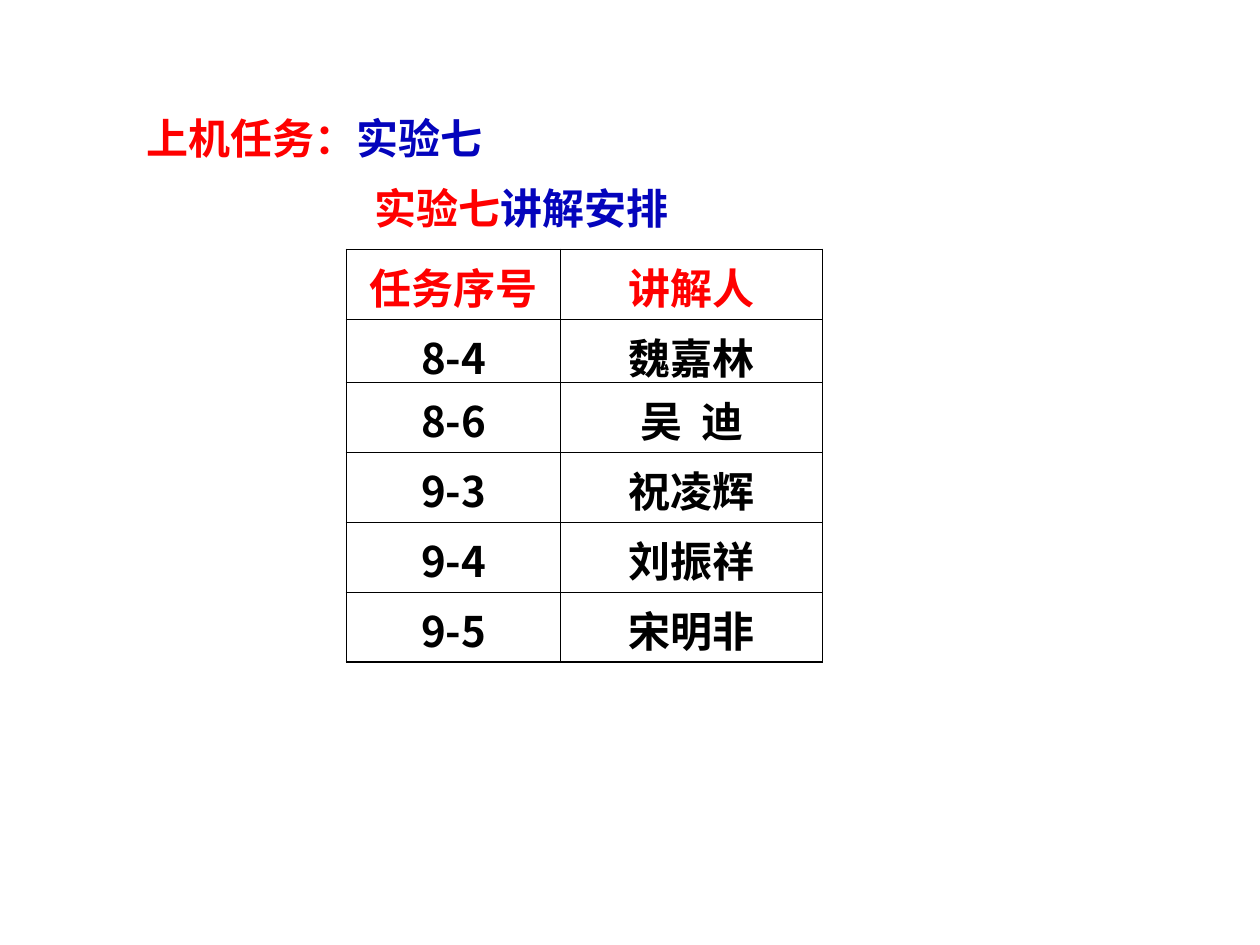
from pptx import Presentation
from pptx.dml.color import RGBColor
from pptx.enum.text import MSO_ANCHOR as Anchor, MSO_AUTO_SIZE as AutoSize, PP_ALIGN as Align
from pptx.oxml import parse_xml
from pptx.oxml.ns import nsdecls
from pptx.util import Pt

RED, BLUE, BLACK = "FF0000", "0404BC", "000000"
CJK = "Noto Sans CJK SC"


def add_text(paragraph, text, color=BLACK, size=24, font=CJK, east_asian=CJK):
    run = paragraph.add_run()
    run.text = text
    run.font.name = font
    run.font.size = Pt(size)
    run.font.bold = True
    run.font.color.rgb = RGBColor.from_string(color)
    run.font._element.get_or_add_latin().addnext(
        parse_xml(f'<a:ea {nsdecls("a")} typeface="{east_asian}"/>'))


def set_border(cell, side, width):
    cell._tc.get_or_add_tcPr().append(parse_xml(
        f'<a:ln{side} {nsdecls("a")} w="{Pt(width)}"><a:solidFill>'
        f'<a:srgbClr val="{BLACK}"/></a:solidFill></a:ln{side}>'))


prs = Presentation()
prs.slide_width, prs.slide_height = Pt(720), Pt(540)
slide = prs.slides.add_slide(prs.slide_layouts[5])

# Heading: the task, then the title of the schedule
heading = slide.shapes.title
heading.left, heading.top, heading.width, heading.height = Pt(76.3), Pt(60.5), Pt(448), Pt(76.3)
frame = heading.text_frame
frame.word_wrap = True
frame.auto_size = AutoSize.SHAPE_TO_FIT_TEXT
frame.vertical_anchor = Anchor.TOP

task = frame.paragraphs[0]
task.alignment, task.space_before = Align.LEFT, Pt(15)
schedule_title = frame.add_paragraph()
schedule_title.alignment, schedule_title.space_before = Align.CENTER, Pt(11.2)
for line, text, color, size in [
    (task, "上机任务：", RED, 24),
    (task, "实验七", BLUE, 24),
    (schedule_title, "实验七", RED, 24),
    (schedule_title, "讲解安排", BLUE, 24),
    (schedule_title, " ", BLACK, 18),
]:
    add_text(line, text, color=color, size=size, font="Arial", east_asian="Arial")

# Schedule of speakers
schedule = [
    ("任务序号", "讲解人"),
    ("8-4", "魏嘉林"),
    ("8-6", "吴  迪"),
    ("9-3", "祝凌辉"),
    ("9-4", "刘振祥"),
    ("9-5", "宋明非"),
]
column_widths = [122.4, 149.8]
row_heights = [40, 36, 40, 39.8, 40, 39.8]
table = slide.shapes.add_table(len(schedule), 2, Pt(198), Pt(142.6),
                               Pt(sum(column_widths)), Pt(sum(row_heights))).table
table.first_row = table.horz_banding = False
for column, width in zip(table.columns, column_widths):
    column.width = Pt(width)

last_row = len(schedule) - 1
for r, entry in enumerate(schedule):
    table.rows[r].height = Pt(row_heights[r])
    for c, text in enumerate(entry):
        cell = table.cell(r, c)
        if r and c:
            cell.vertical_anchor = Anchor.MIDDLE
            cell.margin_left = cell.margin_right = Pt(0.7)
        # Heavier line on the left, top and bottom edges of the table
        for side, heavy in (("L", c == 0), ("R", False), ("T", r == 0), ("B", r == last_row)):
            set_border(cell, side, 1.08 if heavy else 0.45)
        cell.fill.background()
        paragraph = cell.text_frame.paragraphs[0]
        paragraph.alignment, paragraph.space_before = Align.CENTER, Pt(6)
        add_text(paragraph, text, color=BLACK if r else RED)

prs.save("out.pptx")
